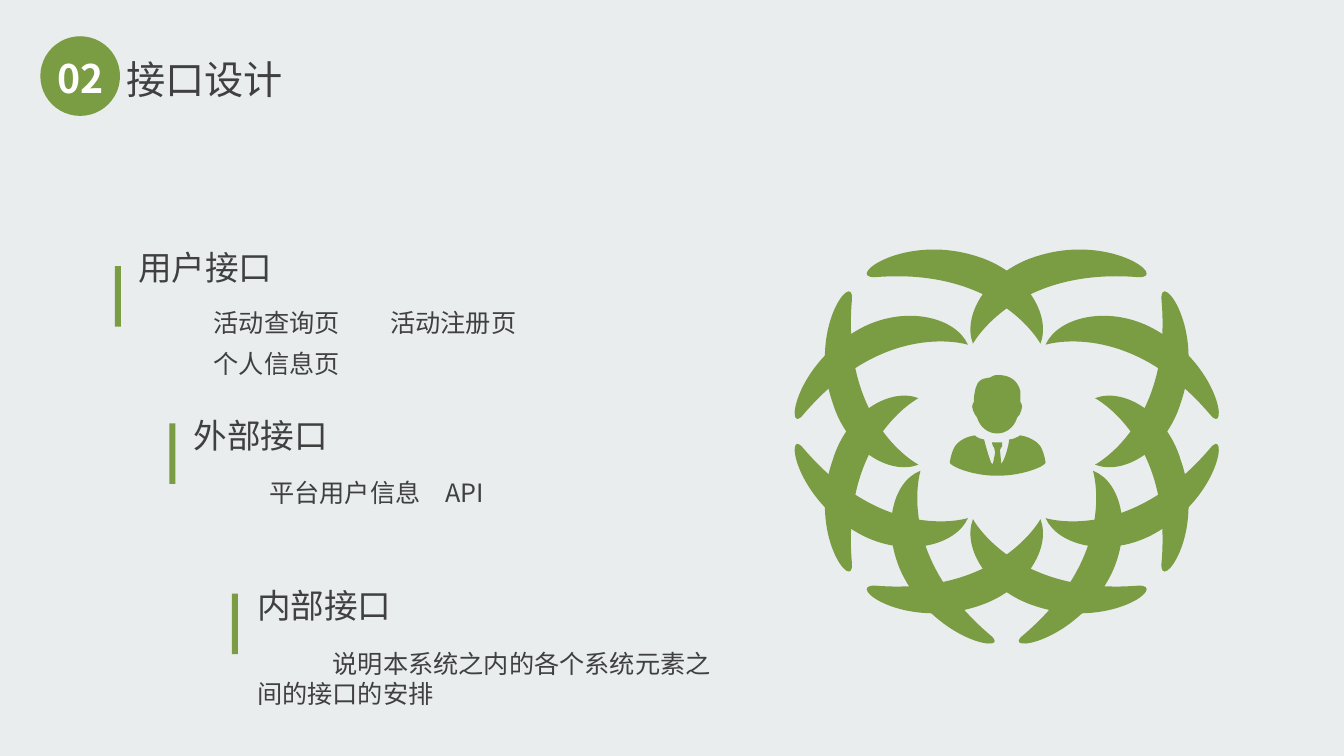
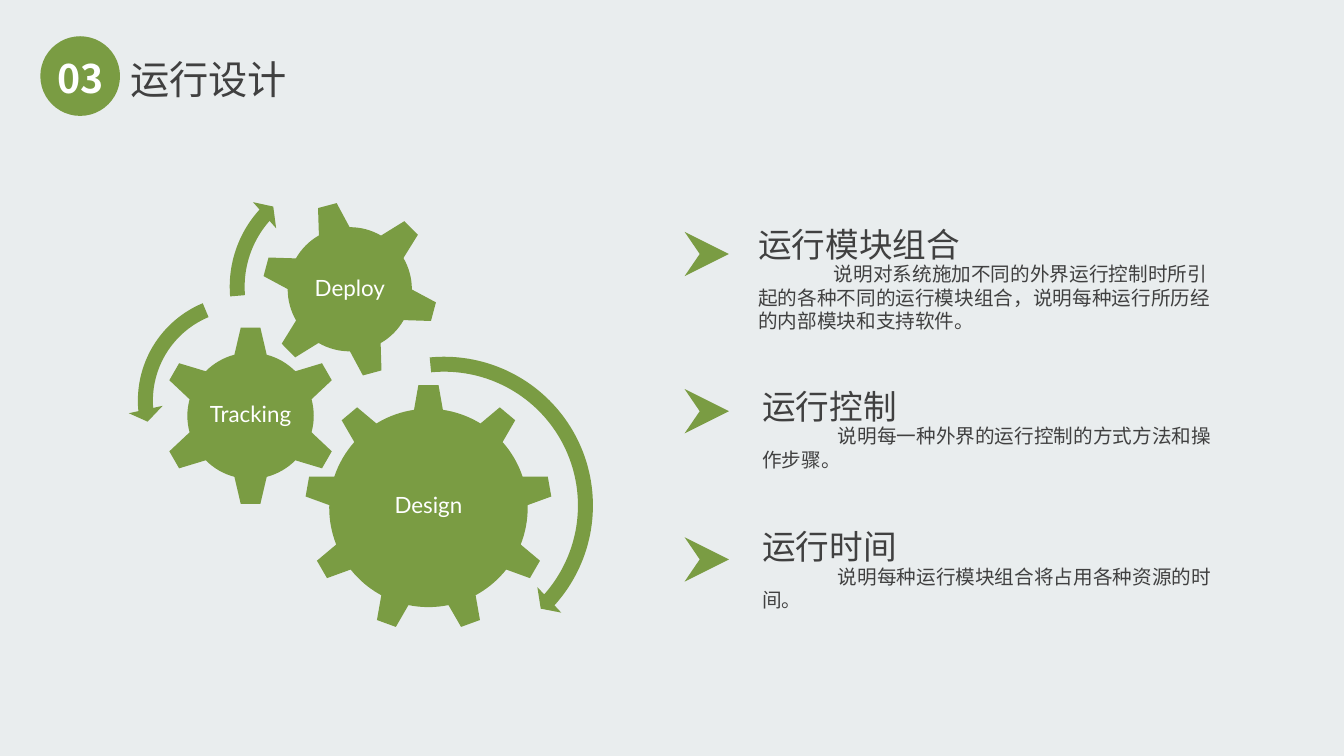
from dataclasses import dataclass

from lxml import etree
from pptx import Presentation
from pptx import util as u
from pptx.dml.color import RGBColor
from pptx.enum import shapes, text
from pptx.oxml.ns import qn

PX = 9144  # EMU in one px, 100 px to the inch
LINE = 1.2  # line height in ems
Point = tuple[int, int]


@dataclass(frozen=True)
class Theme:
    paper: RGBColor = RGBColor(0xE9, 0xED, 0xEE)
    green: RGBColor = RGBColor(0x7A, 0x9C, 0x43)
    ink: RGBColor = RGBColor(0x40, 0x40, 0x40)
    white: RGBColor = RGBColor(0xFF, 0xFF, 0xFF)
    font: str = "Noto Sans CJK SC"
    gear_font: str = "Lato"
    title: int = 28
    heading: int = 24
    body: int = 18
    small: int = 14
    gear: int = 16


THEME = Theme()


@dataclass(frozen=True)
class Topic:
    heading: str
    body: tuple[str, ...]
    left: int
    heading_top: int
    body_top: int
    marker_left: int
    marker_top: int
    tab: int = 0


@dataclass(frozen=True)
class Gear:
    label: str
    kind: shapes.MSO_SHAPE
    left: int
    top: int
    size: int
    label_lift: int = 0
    rotation: int = 0


@dataclass(frozen=True)
class Swirl:
    kind: shapes.MSO_SHAPE
    left: int
    top: int
    size: int
    adjustments: tuple[float, ...]


INTERFACES = (
    Topic("用户接口", ("活动查询页\t活动注册页", "个人信息页"), 137, 245, 305, 114, 264, tab=225),
    Topic("外部接口", ("平台用户信息\tAPI",), 192, 412, 474, 168, 420, tab=300),
    Topic("内部接口", ("说明本系统之内的各个系统元素之间的接口的安排",), 255, 580, 643, 230, 589),
)
OPERATIONS = (
    Topic("运行模块组合",
          ("说明对系统施加不同的外界运行控制时所引起的各种不同的运行模块组合，说明每种运行所历经的内部模块和支持软件。",),
          752, 222, 260, 679, 230),
    Topic("运行控制", ("说明每一种外界的运行控制的方式方法和操作步骤。",), 756, 383, 421, 679, 386),
    Topic("运行时间", ("说明每种运行模块组合将占用各种资源的时间。",), 756, 522, 560, 679, 533),
)
GEARS = (
    Gear("Design", shapes.MSO_SHAPE.GEAR_9, 302, 381, 246, label_lift=2),
    Gear("Tracking", shapes.MSO_SHAPE.GEAR_6, 159, 323, 179),
    Gear("Deploy", shapes.MSO_SHAPE.GEAR_6, 259, 199, 176, rotation=345),
)
SWIRLS = (
    Swirl(shapes.MSO_SHAPE.CIRCULAR_ARROW, 283, 344, 315, (0.047, 2.99, 25.139, 158.662, 0.055)),
    Swirl(shapes.MSO_SHAPE.LEFT_CIRCULAR_ARROW, 127, 283, 229, (0.065, 4.3, 104.891, 148.378, 0.075)),
    Swirl(shapes.MSO_SHAPE.CIRCULAR_ARROW, 218, 161, 247, (0.06, 3.941, 133.138, 105.082, 0.07)),
)

# Closed curves: a start point, then two handles and an end point per segment.
MIRROR_X, MIRROR_Y = 1997, 856  # twice the centre of the emblem
FOURFOLD_BLADES = (
    ((845, 297), (834, 421), (911, 461), (911, 461), (882, 472), (840, 446), (826, 400),
     (800, 326), (847, 267), (845, 297)),
    ((797, 411), (878, 316), (960, 342), (960, 342), (948, 315), (900, 303), (857, 324),
     (786, 360), (778, 435), (797, 411)),
    ((868, 275), (991, 265), (1032, 341), (1032, 341), (1043, 312), (1017, 270), (971, 255),
     (897, 230), (837, 276), (868, 275)),
)
LOWER_BLADE = ((982, 630), (887, 549), (913, 467), (913, 467), (884, 478), (874, 527), (895, 570),
               (930, 639), (1006, 649), (982, 630))
HEAD = (
    (1013, 400), (1012, 399), (1012, 399), (1012, 399), (1012, 394), (1012, 392), (1012, 388),
    (1010, 379), (1003, 372), (990, 372), (983, 372), (984, 375), (979, 375),
    (969, 376), (968, 384), (967, 388), (966, 392), (966, 394), (966, 399),
    (966, 399), (966, 399), (965, 400), (964, 402), (964, 405), (965, 407),
    (966, 410), (968, 413), (969, 414), (972, 424), (980, 430), (989, 430),
    (998, 430), (1006, 424), (1009, 414), (1011, 413), (1012, 410), (1013, 407),
    (1014, 405), (1014, 402), (1013, 400),
)
SHOULDERS = (
    (1032, 443), (1029, 438), (1020, 433), (1012, 432), (1008, 434), (1005, 436), (1001, 436),
    (1000, 444), (997, 454), (994, 459), (994, 461), (994, 461), (993, 459),
    (992, 449), (992, 449), (992, 449), (991, 447), (992, 446), (993, 444),
    (994, 443), (994, 443), (994, 443), (994, 441), (994, 439), (994, 439),
    (991, 439), (987, 439), (984, 439), (984, 439), (984, 441), (985, 443),
    (986, 444), (986, 444), (986, 444), (987, 446), (987, 447), (987, 449),
    (985, 459), (985, 459), (985, 459), (985, 461), (984, 461), (983, 459),
    (981, 454), (978, 444), (976, 436), (969, 435), (967, 432), (967, 432),
    (958, 433), (950, 438), (947, 443), (943, 450), (942, 459), (942, 459),
    (942, 462), (963, 472), (989, 472), (1016, 472), (1037, 462), (1037, 459),
    (1037, 459), (1036, 450), (1032, 443),
)


def paint(shape) -> None:
    shape.shadow.inherit = False
    shape.fill.solid()
    shape.fill.fore_color.rgb = THEME.green
    shape.line.fill.background()


def add_preset(page, kind: shapes.MSO_SHAPE, left: int, top: int, width: int, height: int):
    shape = page.shapes.add_shape(kind, left * PX, top * PX, width * PX, height * PX)
    paint(shape)
    return shape


def add_outline(collection, points: tuple[Point, ...]):
    builder = collection.build_freeform(*points[0], scale=float(PX))
    builder.add_line_segments(points[1:], close=True)
    shape = builder.convert_to_shape()
    paint(shape)
    return shape


def add_curve(collection, points: tuple[Point, ...]) -> None:
    """Draw an outline whose points are taken three at a time as Bezier segments."""
    shape = add_outline(collection, points)
    lines = list(shape.element.iter(qn("a:lnTo")))
    for first, second, third in zip(lines[::3], lines[1::3], lines[2::3]):
        first.tag = qn("a:cubicBezTo")
        for line in (second, third):
            first.append(line[0])
            line.getparent().remove(line)


def format_text(para, size: int, color: RGBColor, font: str = THEME.font, bold: bool = False) -> None:
    for span in para.runs:
        span.font.size = u.Pt(size)
        span.font.bold = bold
        span.font.color.rgb = color
        span.font.name = font
        etree.SubElement(span.font._element, qn("a:ea"), typeface=font)


def clear_margins(frame) -> None:
    frame.margin_left = frame.margin_top = frame.margin_right = frame.margin_bottom = 0


def add_text(page, left: int, top: int, width: int, height: int, lines: tuple[str, ...], size: int,
             indent: int = 0, tab: int = 0) -> None:
    box = page.shapes.add_textbox(left * PX, top * PX, width * PX, height * PX)
    frame = box.text_frame
    frame.word_wrap = True
    clear_margins(frame)
    frame.text = "\n".join(lines)
    for index, para in enumerate(frame.paragraphs):
        para.line_spacing = u.Pt(size * LINE)
        if index:
            para.space_before = u.Pt(7.5)
        properties = para._p.get_or_add_pPr()
        properties.set("marL", "0")
        properties.set("indent", str(indent * PX))
        if tab:
            stops = etree.SubElement(properties, qn("a:tabLst"))
            etree.SubElement(stops, qn("a:tab"), pos=str(tab * PX), algn="l")
        format_text(para, size, THEME.ink)


def add_page(deck, number: str, title: str, title_left: int):
    page = deck.slides.add_slide(deck.slide_layouts[6])
    badge = add_preset(page, shapes.MSO_SHAPE.OVAL, 40, 36, 79, 79)
    frame = badge.text_frame
    frame.word_wrap = False
    clear_margins(frame)
    frame.margin_top = 4 * PX
    frame.vertical_anchor = text.MSO_ANCHOR.MIDDLE
    frame.text = number
    para = frame.paragraphs[0]
    para.alignment = text.PP_ALIGN.CENTER
    para.line_spacing = u.Pt(THEME.title * LINE)
    format_text(para, THEME.title, THEME.white, bold=True)
    add_text(page, title_left, 55, 362, 47, (title,), THEME.title)
    return page


def add_topic(page, topic: Topic, body_size: int) -> None:
    add_text(page, topic.left, topic.heading_top, 384, 40, (topic.heading,), THEME.heading)
    add_text(page, topic.left, topic.body_top, 461, 57, topic.body, body_size, indent=75, tab=topic.tab)


def mirrored(points: tuple[Point, ...], across: bool, down: bool) -> tuple[Point, ...]:
    return tuple((MIRROR_X - x if across else x, MIRROR_Y - y if down else y) for x, y in points)


def add_emblem(page) -> None:
    emblem = page.shapes.add_group_shape().shapes
    for across in (False, True):
        for blade in FOURFOLD_BLADES:
            for down in (False, True):
                add_curve(emblem, mirrored(blade, across, down))
        add_curve(emblem, mirrored(LOWER_BLADE, across, False))
    for part in (HEAD, SHOULDERS):
        add_curve(emblem, part)


def add_gear(page, gear: Gear) -> None:
    wheel = add_preset(page, gear.kind, gear.left, gear.top, gear.size, gear.size)
    wheel.rotation = gear.rotation
    label_height = 100
    label_top = gear.top + (gear.size - label_height) // 2 - gear.label_lift
    box = page.shapes.add_textbox(gear.left * PX, label_top * PX, gear.size * PX, label_height * PX)
    frame = box.text_frame
    frame.word_wrap = True
    clear_margins(frame)
    frame.vertical_anchor = text.MSO_ANCHOR.MIDDLE
    frame.text = gear.label
    para = frame.paragraphs[0]
    para.alignment = text.PP_ALIGN.CENTER
    para.line_spacing = 0.9
    format_text(para, THEME.gear, THEME.white, THEME.gear_font)


def add_swirl(page, swirl: Swirl) -> None:
    arrow = add_preset(page, swirl.kind, swirl.left, swirl.top, swirl.size, swirl.size)
    for index, value in enumerate(swirl.adjustments):
        arrow.adjustments[index] = value


def add_arrowhead(page, left: int, top: int) -> None:
    corners = ((44, 22), (0, 44), (15, 22), (0, 0))
    add_outline(page.shapes, tuple((left + x, top + y) for x, y in corners))


def build_interface_page(deck) -> None:
    page = add_page(deck, "02", "接口设计", 125)
    add_emblem(page)
    for topic in INTERFACES:
        add_preset(page, shapes.MSO_SHAPE.RECTANGLE, topic.marker_left, topic.marker_top, 6, 60)
        add_topic(page, topic, THEME.body)


def build_operation_page(deck) -> None:
    page = add_page(deck, "03", "运行设计", 129)
    for gear in GEARS:
        add_gear(page, gear)
    for swirl in SWIRLS:
        add_swirl(page, swirl)
    for topic in OPERATIONS:
        add_arrowhead(page, topic.marker_left, topic.marker_top)
        add_topic(page, topic, THEME.small)


def main() -> None:
    deck = Presentation()
    deck.slide_width, deck.slide_height = 1333 * PX, 750 * PX
    backdrop = deck.slide_master.background.fill
    backdrop.solid()
    backdrop.fore_color.rgb = THEME.paper
    build_interface_page(deck)
    build_operation_page(deck)
    deck.save("out.pptx")


if __name__ == "__main__":
    main()
